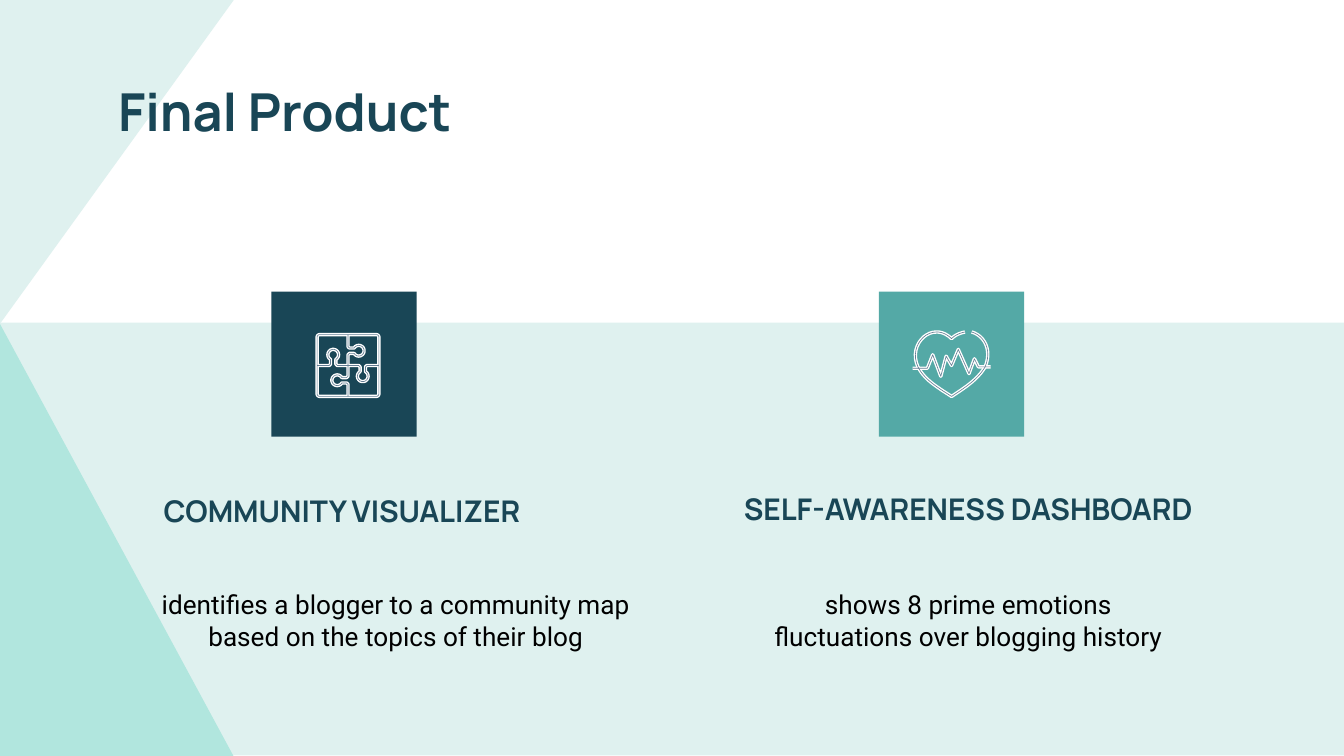
from dataclasses import dataclass
from math import cos, radians, sin

from pptx import Presentation
from pptx.dml.color import RGBColor
from pptx.enum.shapes import MSO_SHAPE
from pptx.enum.text import MSO_ANCHOR, PP_ALIGN
from pptx.util import Inches, Pt


@dataclass(frozen=True)
class Theme:
    pale: str = "DFF1EF"
    mint: str = "B1E6DE"
    teal: str = "54A9A6"
    navy: str = "194656"
    slate: str = "657E93"
    white: str = "FFFFFF"
    black: str = "000000"
    head: str = "Manrope"
    body: str = "Roboto"
    title: float = 28
    label: float = 16
    note: float = 14
    edge: float = 1.8
    core: float = 0.35


THEME = Theme()


def color(code):
    return RGBColor.from_string(code)


def add_block(slide, kind, box, fill):
    shape = slide.shapes.add_shape(kind, *map(Inches, box))
    shape.shadow.inherit = False
    shape.fill.solid()
    shape.fill.fore_color.rgb = color(fill)
    shape.line.fill.background()
    return shape


def add_text(slide, box, text, size, bold=True,
             align=PP_ALIGN.CENTER, anchor=MSO_ANCHOR.TOP):
    frame = slide.shapes.add_textbox(*map(Inches, box)).text_frame
    frame.word_wrap = True
    frame.vertical_anchor = anchor
    frame.margin_left = frame.margin_right = Inches(0.1)
    frame.margin_top = frame.margin_bottom = Inches(0.1)
    para = frame.paragraphs[0]
    para.text = text
    para.alignment = align
    para.font.name = THEME.head if bold else THEME.body
    para.font.size = Pt(size)
    para.font.bold = bold
    para.font.color.rgb = color(THEME.navy if bold else THEME.black)


def add_icon(slide, lines):
    lines = [[(Inches(x), Inches(y)) for x, y in line] for line in lines]
    for code, width in ((THEME.white, THEME.edge), (THEME.slate, THEME.core)):
        pen = slide.shapes.build_freeform(*lines[0][0])
        for index, line in enumerate(lines):
            if index:
                pen.move_to(*line[0])
            pen.add_line_segments(line[1:], close=False)
        shape = pen.convert_to_shape()
        shape.shadow.inherit = False
        shape.fill.background()
        shape.line.color.rgb = color(code)
        shape.line.width = Pt(width)


def ring(x, y, size, start, stop, step):
    return [(x + size * cos(radians(deg)), y + size * sin(radians(deg)))
            for deg in range(start, stop, step)]


def curve(start, *arcs):
    points = [start]
    for one, two, end in arcs:
        ends = points[-1], one, two, end
        for step in range(1, 13):
            t = step / 12
            parts = (1 - t) ** 3, 3 * t * (1 - t) ** 2, 3 * t * t * (1 - t), t ** 3
            points.append(tuple(sum(part * spot[axis] for part, spot in zip(parts, ends))
                                for axis in (0, 1)))
    return points


def puzzle():
    x, y, half, bend = 2.59, 2.72, 0.23, 0.02
    arm = [(0, 0), (0.08, 0), (0.09, 0.01), (0.09, 0.04)]
    arm += ring(0.11, 0.08, 0.04, 240, -61, -20)
    arm += [(0.13, 0.04), (0.13, 0.01), (0.14, 0), (half, 0)]
    lines, frame = [], []
    across, down = -1, 0
    for turn in range(4):
        lines.append([(x + u * across - v * down, y + u * down + v * across)
                      for u, v in arm])
        side = half - bend
        frame += ring(x + side * (across - down), y + side * (down + across),
                      bend, 180 + turn * 90, 271 + turn * 90, 15)
        across, down = -down, across
    return lines + [frame + frame[:1]]


def heart():
    outline = curve(
        (7.18, 2.47),
        ((7.14, 2.48), (7.11, 2.49), (7.08, 2.52)),
        ((7.05, 2.49), (7.01, 2.47), (6.97, 2.47)),
        ((6.86, 2.47), (6.77, 2.6), (6.83, 2.73)),
        ((6.88, 2.83), (6.99, 2.89), (7.08, 2.95)),
        ((7.17, 2.89), (7.27, 2.83), (7.33, 2.73)),
        ((7.38, 2.61), (7.33, 2.5), (7.23, 2.47)),
    )
    pulse = [(6.79, 2.74), (6.9, 2.74), (6.94, 2.64), (7, 2.8), (7.04, 2.65),
             (7.08, 2.72), (7.13, 2.6), (7.21, 2.78), (7.25, 2.67),
             (7.28, 2.73), (7.37, 2.73)]
    return [outline, pulse]


def add_back(slide):
    wedge = MSO_SHAPE.RIGHT_TRIANGLE
    upper = add_block(slide, wedge, (0, 0, 1.74, 2.41), THEME.pale)
    upper.element.spPr.xfrm.set("flipV", "1")
    add_block(slide, MSO_SHAPE.RECTANGLE, (0, 2.4, 10, 3.22), THEME.pale)
    add_block(slide, wedge, (0, 2.41, 1.74, 3.22), THEME.mint)


def add_item(slide, left, fill, icon, label, label_box, note, note_box):
    add_block(slide, MSO_SHAPE.RECTANGLE, (left, 2.17, 1.08, 1.08), fill)
    add_icon(slide, icon)
    add_text(slide, label_box, label, THEME.label, anchor=MSO_ANCHOR.MIDDLE)
    add_text(slide, note_box, note, THEME.note, bold=False)


def main():
    deck = Presentation()
    deck.slide_width = Inches(10)
    deck.slide_height = deck.slide_width * 9 // 16
    slide = deck.slides.add_slide(deck.slide_layouts[6])
    add_back(slide)
    add_text(slide, (0.78, 0.49, 8.45, 0.63), "Final Product", THEME.title,
             align=PP_ALIGN.LEFT)
    add_item(slide, 2.02, THEME.navy, puzzle(),
             "COMMUNITY VISUALIZER", (1.02, 3.6, 3.05, 0.4),
             "identifies a blogger to a community map based on the topics of their blog",
             (1.02, 4.28, 3.85, 1.13))
    add_item(slide, 6.54, THEME.teal, heart(),
             "SELF-AWARENESS DASHBOARD", (5.24, 3.47, 3.93, 0.63),
             "shows 8 prime emotions fluctuations over blogging history",
             (5.57, 4.28, 3.27, 1.13))
    deck.save("out.pptx")


if __name__ == "__main__":
    main()
